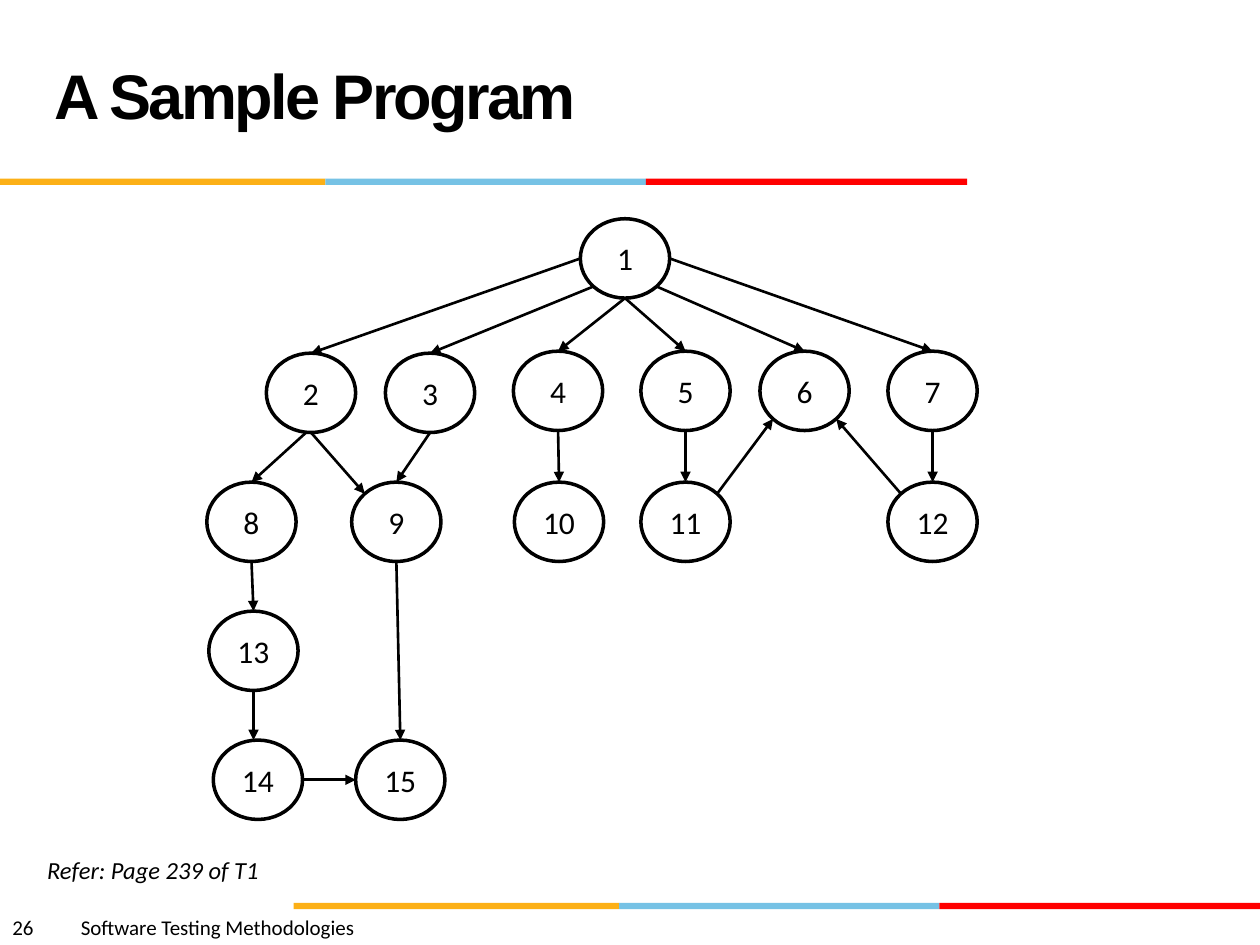
from math import cos, radians, sin

from lxml.etree import SubElement
from pptx import Presentation
from pptx.dml.color import RGBColor
from pptx.enum.shapes import MSO_CONNECTOR, MSO_SHAPE
from pptx.enum.text import MSO_ANCHOR, MSO_AUTO_SIZE, PP_ALIGN
from pptx.oxml.ns import qn
from pptx.util import Cm, Pt

BLACK = RGBColor(0x00, 0x00, 0x00)
AMBER = RGBColor(0xFC, 0xB0, 0x17)
SKY = RGBColor(0x76, 0xC2, 0xE5)
RED = RGBColor(0xFF, 0x00, 0x00)

# Lengths in centimetres
NODE_W, NODE_H = 1.8, 1.6
STRIPES = [(AMBER, 6.56), (SKY, 6.46), (RED, 6.48)]

# Vertical centre of each row, then the horizontal centre of each node in it
ROWS = [
    (5.21, {1: 12.6}),
    (7.92, {2: 6.27, 3: 8.67}),
    (7.88, {4: 11.25, 5: 13.82, 6: 16.22, 7: 18.8}),
    (10.52, {8: 5.07, 9: 7.99, 10: 11.27, 11: 13.82, 12: 18.8}),
    (13.12, {13: 5.11}),
    (15.72, {14: 5.2, 15: 8.07}),
]
CENTRES = {node: (x, y) for y, row in ROWS for node, x in row.items()}

# Points on a node's outline, as clockwise angles from its right side
RIGHT, LOWER_RIGHT, BOTTOM, LOWER_LEFT = 0, 45, 90, 135
LEFT, UPPER_LEFT, TOP, UPPER_RIGHT = 180, 225, 270, 315

# Start node, start point, end node, end point
EDGES = [
    (1, LEFT, 2, TOP),
    (1, LOWER_LEFT, 3, TOP),
    (1, BOTTOM, 4, TOP),
    (1, BOTTOM, 5, TOP),
    (1, LOWER_RIGHT, 6, TOP),
    (1, RIGHT, 7, TOP),
    (2, BOTTOM, 8, TOP),
    (2, BOTTOM, 9, UPPER_LEFT),
    (3, BOTTOM, 9, TOP),
    (4, BOTTOM, 10, TOP),
    (5, BOTTOM, 11, TOP),
    (7, BOTTOM, 12, TOP),
    (11, UPPER_RIGHT, 6, LOWER_LEFT),
    (12, UPPER_LEFT, 6, LOWER_RIGHT),
    (8, BOTTOM, 13, TOP),
    (9, BOTTOM, 15, TOP),
    (13, BOTTOM, 14, TOP),
    (14, RIGHT, 15, LEFT),
]
# Sideways shift of the edges that leave or reach a node off its middle
START_SHIFT = {(2, 8): -0.1}
END_SHIFT = {(13, 14): -0.09}


def add_run(paragraph, text, size, font="Calibri", bold=False, italic=False):
    run = paragraph.add_run()
    run.text = text
    run.font.name = font
    run.font.size = Pt(size)
    run.font.bold = bold
    run.font.italic = italic
    run.font.color.rgb = BLACK
    return run


def add_title(slide, text):
    title = slide.shapes.title
    title.left, title.top, title.width, title.height = Cm(0.84), Cm(0.43), Cm(17.58), Cm(3.18)
    frame = title.text_frame
    frame.vertical_anchor = MSO_ANCHOR.MIDDLE
    frame.auto_size = MSO_AUTO_SIZE.NONE
    paragraph = frame.paragraphs[0]
    paragraph.alignment = PP_ALIGN.LEFT
    paragraph.line_spacing = Pt(36)
    run = add_run(paragraph, text, 36, font="Arial", bold=True)
    run.font._element.set("spc", "-150")


def add_stripes(slide, left, top):
    for colour, width in STRIPES:
        stripe = slide.shapes.add_shape(
            MSO_SHAPE.RECTANGLE, Cm(left), Cm(top), Cm(width), Cm(0.13))
        stripe.shadow.inherit = False
        stripe.fill.solid()
        stripe.fill.fore_color.rgb = colour
        stripe.line.fill.background()
        left += width


def add_label(slide, left, top, width, height, wrap):
    box = slide.shapes.add_textbox(Cm(left), Cm(top), Cm(width), Cm(height))
    box.text_frame.word_wrap = wrap
    return box.text_frame.paragraphs[0]


def add_footer(slide, number, course):
    paragraph = add_label(slide, 0, 18.31, 12.7, 0.76, wrap=True)
    tabs = SubElement(paragraph._p.get_or_add_pPr(), qn("a:tabLst"))
    SubElement(tabs, qn("a:tab"), pos=str(Cm(1.38)), algn="l")
    add_run(paragraph, f"{number}\t{course}", 12)


def add_node(slide, number):
    x, y = CENTRES[number]
    node = slide.shapes.add_shape(
        MSO_SHAPE.OVAL, Cm(x - NODE_W / 2), Cm(y - NODE_H / 2), Cm(NODE_W), Cm(NODE_H))
    node.shadow.inherit = False
    node.fill.background()
    node.line.color.rgb = BLACK
    node.line.width = Pt(2)
    node.text_frame.vertical_anchor = MSO_ANCHOR.MIDDLE
    paragraph = node.text_frame.paragraphs[0]
    paragraph.alignment = PP_ALIGN.CENTER
    add_run(paragraph, str(number), 18)


def outline_point(number, angle, shift):
    x, y = CENTRES[number]
    turn = radians(angle)
    return Cm(x + NODE_W / 2 * cos(turn) + shift), Cm(y + NODE_H / 2 * sin(turn))


def add_edge(slide, start, start_angle, end, end_angle):
    pair = (start, end)
    edge = slide.shapes.add_connector(
        MSO_CONNECTOR.STRAIGHT,
        *outline_point(start, start_angle, START_SHIFT.get(pair, 0)),
        *outline_point(end, end_angle, END_SHIFT.get(pair, 0)))
    edge.line.color.rgb = BLACK
    edge.line.width = Pt(1.5)
    SubElement(edge.line._get_or_add_ln(), qn("a:tailEnd"), type="triangle")
    SubElement(edge._element.spPr, qn("a:effectLst"))


def main():
    deck = Presentation()
    deck.slide_width, deck.slide_height = Cm(25.4), Cm(19.05)
    slide = deck.slides.add_slide(deck.slide_layouts[5])

    # Frame of the slide
    add_stripes(slide, 0, 3.6)
    add_stripes(slide, 5.92, 18.2)
    add_footer(slide, 26, "Software Testing Methodologies")
    add_title(slide, "A Sample Program")

    # Flow graph
    for number in CENTRES:
        add_node(slide, number)
    for edge in EDGES:
        add_edge(slide, *edge)

    # Reference
    reference = add_label(slide, 0.7, 17.12, 4.8, 0.86, wrap=False)
    add_run(reference, "Refer: Page 239 of T1", 14, italic=True)

    deck.save("out.pptx")


if __name__ == "__main__":
    main()
